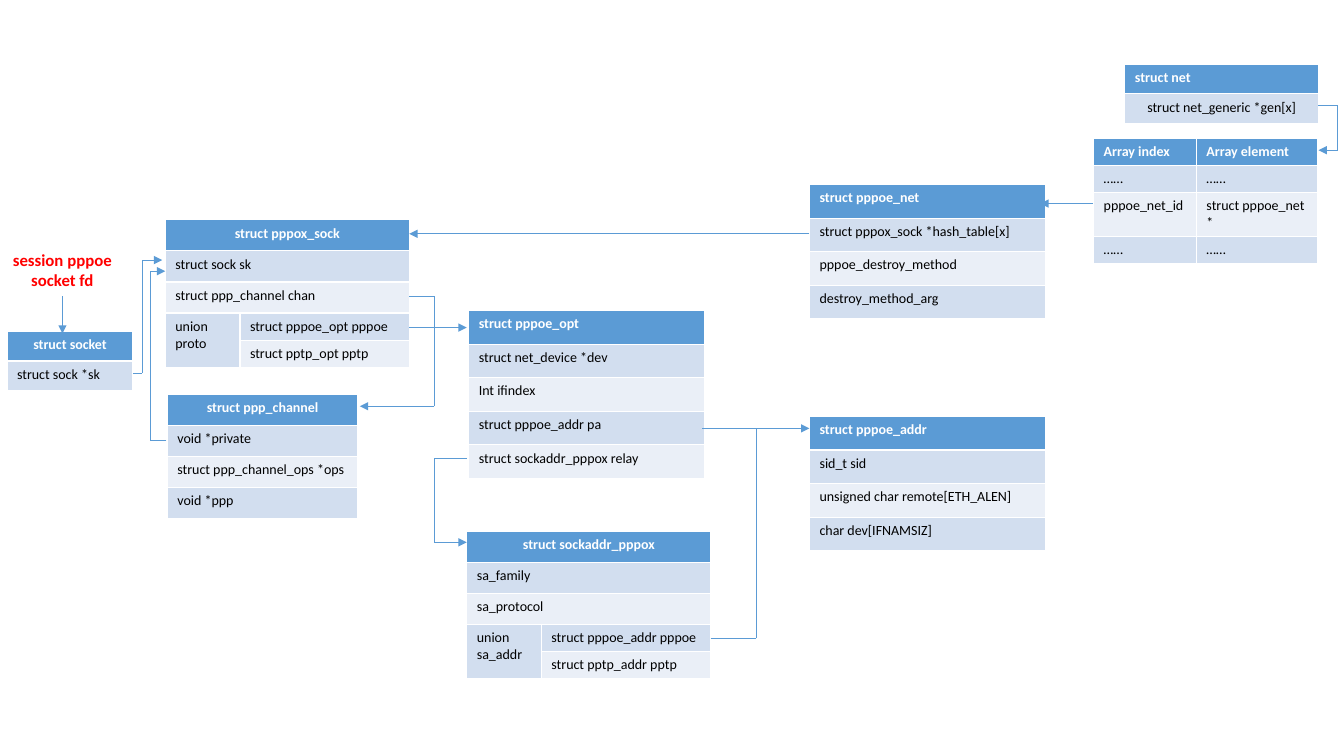
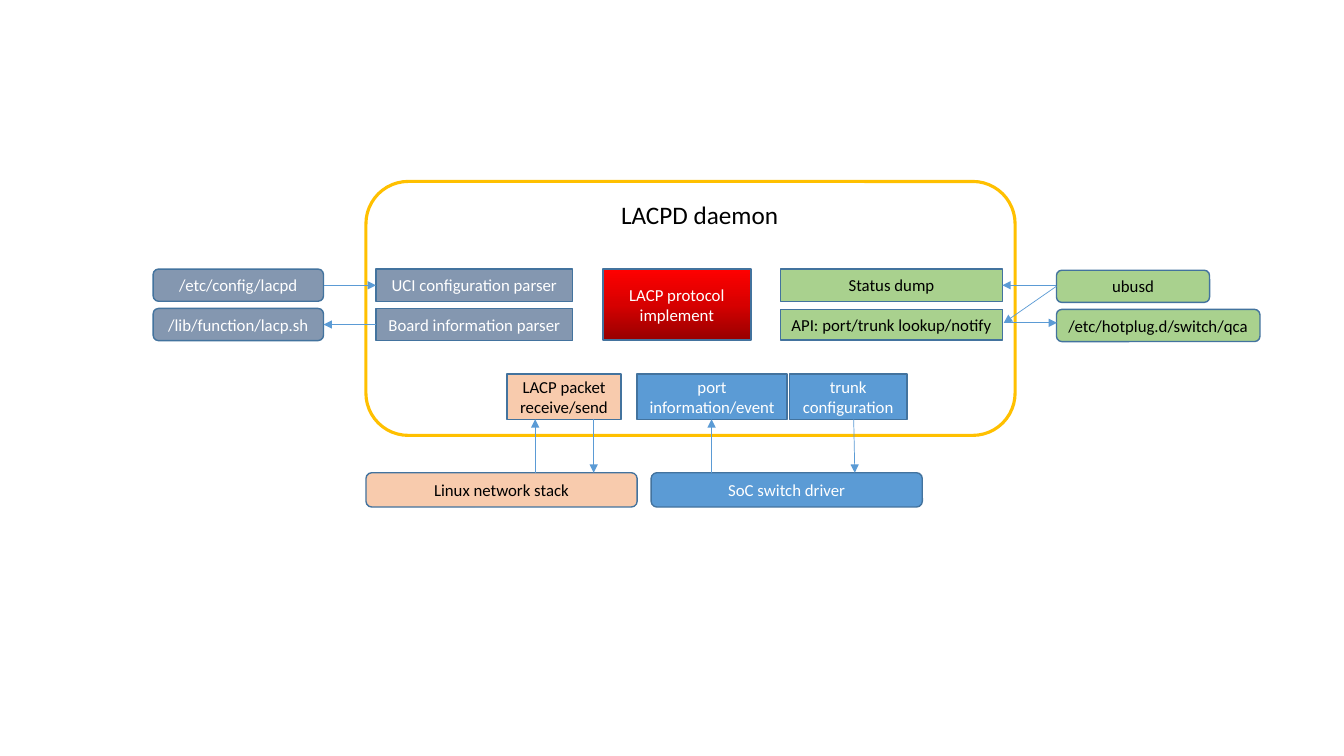
from copy import deepcopy
from itertools import pairwise

from pptx import Presentation
from pptx.dml.color import RGBColor
from pptx.enum.shapes import MSO_CONNECTOR as LINK, MSO_SHAPE as SHAPE
from pptx.enum.text import MSO_ANCHOR as ANCHOR, PP_ALIGN as ALIGN
from pptx.oxml.ns import qn
from pptx.util import Pt

FONT = "Calibri"
BLUE, BANDS = "5B9BD5", ("D2DEEF", "EAEFF7")
WHITE, BLACK, RED, GOLD = "FFFFFF", "000000", "FF0000", "FFC000"
SLATE, GREEN, PEACH, OUTLINE = "8497B0", "A9D18E", "F8CBAD", "43739E"
DARK_TEXT_FILLS = (GREEN, PEACH)
FLAME = [(0, "970000"), (0.5, "D70000"), (1, "FF0000")]

UNION_COLS, UNION_ROWS = (53.3, 121), (22.2, 22.2, 22.2, 19.2, 19.2)
WIDE = (168.5,)

STRUCTS = [
    dict(at=(803.5, 46), cols=(138.2,), heights=(21, 21), indent=16,
         rows=[["struct net"], ["struct net_generic *gen[x]"]]),
    dict(at=(781.2, 98.6), cols=(73.4, 86.4), heights=(19.2, 19.2, 31.2, 19.2),
         rows=[["Array index", "Array element"], ["……", "……"],
               ["pppoe_net_id", "struct pppoe_net *"], ["……", "……"]]),
    dict(at=(578.2, 131.8), cols=WIDE, heights=(24,) * 4,
         rows=[["struct pppoe_net"], ["struct pppox_sock *hash_table[x]"],
               ["pppoe_destroy_method"], ["destroy_method_arg"]]),
    dict(at=(118.1, 157), cols=UNION_COLS, heights=UNION_ROWS, centred=True,
         rows=[["struct pppox_sock"], ["struct sock sk"], ["struct ppp_channel chan"],
               ["union\nproto", "struct pppoe_opt pppoe"], [None, "struct pptp_opt pptp"]]),
    dict(at=(5, 236.9), cols=(90,), heights=(21, 21), centred=True,
         rows=[["struct socket"], ["struct sock *sk"]]),
    dict(at=(119.5, 281.5), cols=(136,), heights=(22.2,) * 4, centred=True,
         rows=[["struct ppp_channel"], ["void *private"],
               ["struct ppp_channel_ops *ops"], ["void *ppp"]]),
    dict(at=(334.8, 221.8), cols=WIDE, heights=(24,) * 5,
         rows=[["struct pppoe_opt"], ["struct net_device *dev"], ["Int ifindex"],
               ["struct pppoe_addr pa"], ["struct sockaddr_pppox relay"]]),
    dict(at=(578.2, 297.4), cols=WIDE, heights=(24,) * 4,
         rows=[["struct pppoe_addr"], ["sid_t sid"],
               ["unsigned char remote[ETH_ALEN]"], ["char dev[IFNAMSIZ]"]]),
    dict(at=(333.4, 379.4), cols=UNION_COLS, heights=UNION_ROWS, centred=True,
         rows=[["struct sockaddr_pppox"], ["sa_family"], ["sa_protocol"],
               ["union\nsa_addr", "struct pppoe_addr pppoe"], [None, "struct pptp_addr pptp"]]),
]

POINTERS = [
    [(941.8, 75.6), (955.4, 75.6), (955.4, 107.3), (941.8, 107.3)],
    [(780.5, 145.4), (743, 145.4)],
    [(95, 266.4), (101.5, 266.4), (101.5, 185.8), (115.9, 185.8)],
    [(118.8, 314.3), (107.3, 314.3), (107.3, 193.7), (118, 193.7)],
    [(292.3, 211.7), (310.3, 211.7), (310.3, 290.2), (257, 290.2)],
    [(292.3, 234), (333.4, 234)],
    [(44.6, 211.7), (44.6, 238.3)],
    [(578.2, 167), (292.3, 167)],
    [(333.4, 327.6), (310.3, 327.6), (310.3, 387.4), (333.4, 387.4)],
    [(501.8, 306), (578.2, 306)],
]
RELAY_JOIN = [(507.6, 456), (540, 456), (540, 306)]

MODULES = [
    ("LACP protocol implement", FLAME, (430.6, 192.2, 105.8, 50.6)),
    ("UCI configuration parser", SLATE, (268.6, 192.2, 140.4, 23)),
    ("Board information parser", SLATE, (268.6, 220.3, 140.4, 23)),
    ("Status dump", GREEN, (557.3, 192.2, 159, 23)),
    ("API: port/trunk lookup/notify", GREEN, (557.3, 221, 159, 22)),
    ("LACP packet receive/send", PEACH, (362.2, 267.1, 81.4, 32.4)),
    ("port information/event", BLUE, (455, 267.1, 107.3, 32.4)),
    ("trunk configuration", BLUE, (563.8, 267.1, 84.2, 32.4)),
]
PEERS = [
    ("/etc/config/lacpd", SLATE, (109.4, 192.2, 121.7, 23)),
    ("/lib/function/lacp.sh", SLATE, (109.4, 220.3, 121.7, 23)),
    ("ubusd", GREEN, (754.6, 193, 109.4, 23)),
    ("/etc/hotplug.d/switch/qca", GREEN, (754.6, 221, 145.4, 23)),
    ("Linux network stack", PEACH, (261.4, 337.7, 193.7, 24.5)),
    ("SoC switch driver", BLUE, (465.1, 337.7, 193.7, 24.5)),
]
FLOWS = [
    [(231.1, 203.8), (268.6, 203.8)],
    [(268.6, 231.8), (231.1, 231.8)],
    [(754, 203.8), (716, 203.8)],
    [(717, 230.6), (755, 230.6)],
    [(508.3, 337.7), (508.3, 299.5)],
    [(609.8, 299.5), (610.6, 337.7)],
    [(382.3, 337.7), (382.3, 299.5)],
    [(424.1, 299.5), (424.1, 337.7)],
    [(754.6, 204.5), (717, 230.6)],
]


def rgb(value):
    return RGBColor.from_string(value)


def write(frame, text, size, color, bold=False, align=ALIGN.LEFT):
    frame.text = text
    for paragraph in frame.paragraphs:
        paragraph.alignment = align
        font = paragraph.font
        for run in paragraph.runs:
            font = run.font
            font.name, font.size, font.bold = FONT, Pt(size), bold
            font.color.rgb = rgb(color)


def add_path(slide, points, arrow=True):
    for start, end in pairwise(points):
        segment = slide.shapes.add_connector(LINK.STRAIGHT, *map(Pt, start + end))
        segment.line.color.rgb = rgb(BLUE)
        segment.line.width = Pt(0.5)
        properties = segment._element.spPr
        if arrow and end == points[-1]:
            head = segment.line._get_or_add_ln()
            head.append(head.makeelement(qn("a:tailEnd"), {"type": "triangle"}))
        properties.append(properties.makeelement(qn("a:effectLst"), {}))


def add_struct(slide, at, cols, heights, rows, centred=False, indent=7.2):
    size = sum(cols), sum(heights)
    table = slide.shapes.add_table(len(rows), len(cols), *map(Pt, at + size)).table
    for column, width in zip(table.columns, cols):
        column.width = Pt(width)
    for r, (row, height) in enumerate(zip(rows, heights)):
        table.rows[r].height = Pt(height)
        if len(row) < len(cols):
            table.cell(r, 0).merge(table.cell(r, len(cols) - 1))
        for c, text in enumerate(row):
            cell = table.cell(r, c)
            if text is None:
                table.cell(r - 1, c).merge(cell)
                continue
            header = r == 0
            cell.fill.solid()
            cell.fill.fore_color.rgb = rgb(BLUE if header else BANDS[(r - 1) % 2])
            if not header:
                cell.margin_left = Pt(indent)
            write(cell.text_frame, text, 10, WHITE if header else BLACK, header,
                  ALIGN.CENTER if header and centred else ALIGN.LEFT)


def add_label(slide, text, box, size, color, bold=False):
    frame = slide.shapes.add_textbox(*map(Pt, box)).text_frame
    frame.word_wrap = False
    write(frame, text, size, color, bold, ALIGN.CENTER)


def paint_gradient(shape, stops):
    shape.fill.gradient()
    shape.fill.gradient_angle = 90
    stop_list = next(shape._element.spPr.iter(qn("a:gsLst")))
    stop_list.insert(1, deepcopy(stop_list[0]))
    for stop, (position, color) in zip(shape.fill.gradient_stops, stops):
        stop.position = position
        stop.color.rgb = rgb(color)


def add_box(slide, kind, box, fill=None, text="", outline=OUTLINE, weight=1):
    shape = slide.shapes.add_shape(kind, *map(Pt, box))
    shape.shadow.inherit = False
    shape.line.color.rgb = rgb(outline)
    shape.line.width = Pt(weight)
    if fill is None:
        shape.fill.background()
    elif isinstance(fill, list):
        paint_gradient(shape, fill)
    else:
        shape.fill.solid()
        shape.fill.fore_color.rgb = rgb(fill)
    if text:
        frame = shape.text_frame
        frame.word_wrap = True
        frame.vertical_anchor = ANCHOR.MIDDLE
        write(frame, text, 12, BLACK if fill in DARK_TEXT_FILLS else WHITE, align=ALIGN.CENTER)


def build_socket_slide(slide):
    for struct in STRUCTS:
        add_struct(slide, **struct)
    add_label(slide, "session pppoe\nsocket fd", (1.4, 175, 86.4, 36), 12, RED, True)
    for pointer in POINTERS:
        add_path(slide, pointer)
    add_path(slide, RELAY_JOIN, arrow=False)


def build_daemon_slide(slide):
    add_box(slide, SHAPE.ROUNDED_RECTANGLE, (261.4, 129.6, 463.7, 181.4), outline=GOLD, weight=2.25)
    add_label(slide, "LACPD daemon", (435.6, 139, 128.2, 28.8), 18, BLACK)
    for kind, boxes in ((SHAPE.RECTANGLE, MODULES), (SHAPE.ROUNDED_RECTANGLE, PEERS)):
        for text, fill, box in boxes:
            add_box(slide, kind, box, fill, text)
    for flow in FLOWS:
        add_path(slide, flow)


def main():
    deck = Presentation()
    deck.slide_width, deck.slide_height = Pt(960), Pt(540)
    for build in (build_socket_slide, build_daemon_slide):
        build(deck.slides.add_slide(deck.slide_layouts[6]))
    deck.save("out.pptx")


if __name__ == "__main__":
    main()
